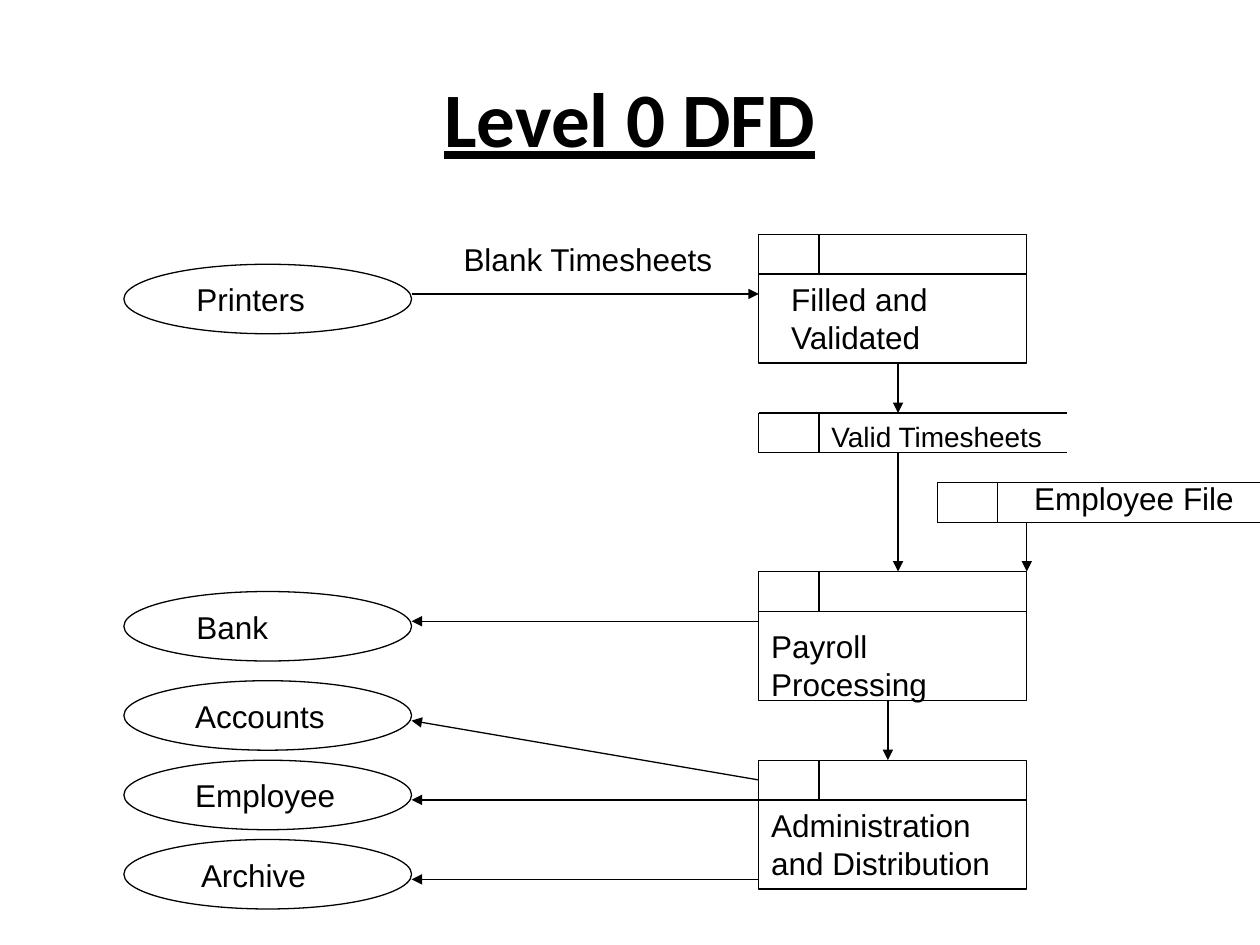
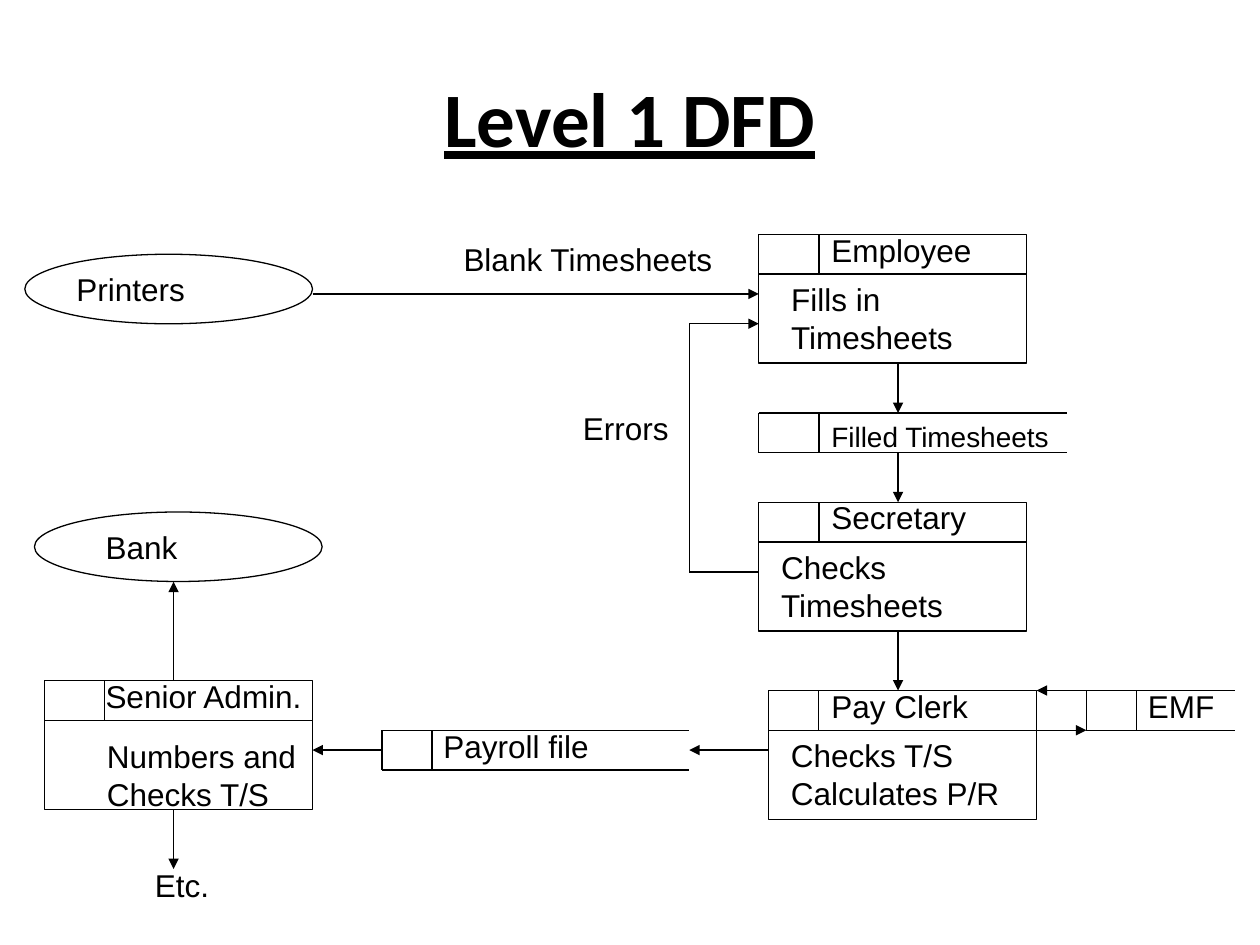
from itertools import pairwise

from lxml import etree
from pptx import Presentation
from pptx.dml.color import RGBColor
from pptx.enum.shapes import MSO_CONNECTOR, MSO_SHAPE
from pptx.enum.text import MSO_ANCHOR, MSO_AUTO_SIZE, PP_ALIGN
from pptx.oxml.ns import qn
from pptx.util import Pt

STRAIGHT = MSO_CONNECTOR.STRAIGHT
OVAL, RECT = MSO_SHAPE.OVAL, MSO_SHAPE.RECTANGLE
INK = "000000"

# Symbol sizes shared by both diagrams
ENTITY_W, ENTITY_H = 164.4, 39.7
PROCESS_W, PROCESS_H = 153.2, 73.6
BAND_H = 22.7
CELL_W = 34.4
LIFT = 5.7
COL = 433.6            # left edge of the main process column
COL_R = COL + PROCESS_W
MID = 513.2            # vertical flow down the column
ENTITY_R = 70.8 + ENTITY_W

# entities: x, y, name, name offset
# processes: x, y, cell width, owner, owner offset, task, task dx, dy, width
# stores: x, y, width, cell width, name, name dx, dy, size
# labels: x, y, width, text
# flows: points, ending in an arrowhead
SLIDES = [
    {
        "title": "Level 0 DFD",
        "entities": [
            (70.8, 151.0, "Printers", 34.4),
            (70.8, 338.0, "Bank", 34.4),
            (70.8, 389.0, "Accounts", 33.6),
            (70.8, 434.4, "Employee", 33.6),
            (70.8, 479.7, "Archive", 37.0),
        ],
        "processes": [
            (COL, 133.9, CELL_W, "", 0, "Filled and Validated", 11.4, BAND_H, 130.3),
            (COL, 326.6, CELL_W, "", 0, "Payroll Processing", 0, 28.4, 158.4),
            (COL, 434.4, CELL_W, "", 0, "Administration and Distribution", 0, BAND_H, 158.4),
        ],
        "stores": [
            (COL, 236.0, 176, CELL_W, "Valid Timesheets", 34.4, 0, 16),
            (535.7, 275.7, 184.3, CELL_W, "Employee File", 48.2, -LIFT, 18),
        ],
        "labels": [(257.8, 133.9, 158.4, "Blank Timesheets")],
        "flows": [
            [(ENTITY_R, 168), (COL, 168)],
            [(MID, 207.5), (MID, 236)],
            [(MID, 258.7), (MID, 326.6)],
            [(507.4, 400.2), (507.4, 434.4)],
            [(COL_R, 298.4), (COL_R, 326.6)],
            [(COL, 355), (ENTITY_R, 355)],
            [(COL, 445.7), (ENTITY_R, 411.8)],
            [(COL, 457.1), (ENTITY_R, 457.1)],
            [(COL, 502.5), (ENTITY_R, 502.5)],
        ],
    },
    {
        "title": "Level 1 DFD",
        "entities": [
            (14.2, 145.3, "Printers", 22.4),
            (19.7, 292.6, "Bank", 33.6),
        ],
        "processes": [
            (COL, 133.9, CELL_W, "Employee", 34.4, "Fills in Timesheets", 11.4, BAND_H, 130.3),
            (COL, 287.0, CELL_W, "Secretary", 34.4, "Checks Timesheets", 5.7, BAND_H, 130.3),
            (439.2, 394.6, 28.6, "Pay Clerk", 28.8, "Checks T/S Calculates P/R", 5.7, BAND_H, 141.8),
            (25.4, 389.0, CELL_W, "Senior Admin.", 27.8, "Numbers and Checks T/S", 28.6, 28.6, 130.3),
        ],
        "stores": [
            (COL, 236.0, 176, CELL_W, "Filled Timesheets", 34.4, 0, 16),
            (218.3, 417.4, 175.6, 28.6, "Payroll file", 28, -LIFT, 18),
            (620.8, 394.6, 85, 28.6, "EMF", 28, -LIFT, 18),
        ],
        "labels": [
            (257.8, 133.9, 158.4, "Blank Timesheets"),
            (326, 230.4, 108, "Errors"),
            (81.4, 491.2, 108, "Etc."),
        ],
        "flows": [
            [(178.6, 168), (COL, 168)],
            [(MID, 207.5), (MID, 236)],
            [(MID, 258.7), (MID, 287)],
            [(MID, 360.6), (MID, 394.6)],
            [(COL, 326.8), (393.9, 326.8), (393.9, 185), (COL, 185)],
            [(439.2, 428.6), (393.9, 428.6)],
            [(218.3, 428.6), (178.6, 428.6)],
            [(99.2, 389), (99.2, 332.4)],
            [(99.2, 462.6), (99.2, 496.6)],
            [(592.4, 417.3), (620.8, 417.3)],
            [(620.8, 394.6), (592.4, 394.6)],
        ],
    },
]


def color(hex_text):
    return RGBColor.from_string(hex_text)


def add_text(s, x, y, w, h, text, size=18, font="Arial", bold=False,
             underline=False, align=PP_ALIGN.LEFT, anchor=MSO_ANCHOR.TOP,
             fit=MSO_AUTO_SIZE.SHAPE_TO_FIT_TEXT):
    tf = s.shapes.add_textbox(Pt(x), Pt(y), Pt(w), Pt(h)).text_frame
    tf.word_wrap = True
    tf.auto_size = fit
    tf.vertical_anchor = anchor
    p = tf.paragraphs[0]
    p.alignment = align
    r = p.add_run()
    r.text = text
    r.font.name, r.font.size = font, Pt(size)
    r.font.bold, r.font.underline = bold, underline
    r.font.color.rgb = color(INK)


def add_outline(s, kind, x, y, w, h):
    sp = s.shapes.add_shape(kind, Pt(x), Pt(y), Pt(w), Pt(h))
    sp.shadow.inherit = False
    sp.fill.background()
    sp.line.color.rgb = color(INK)
    sp.line.width = Pt(0.75)


def add_line(s, start, end, arrow=False):
    c = s.shapes.add_connector(STRAIGHT, *(Pt(v) for v in (*start, *end)))
    c.line.color.rgb = color(INK)
    c.line.width = Pt(0.75)
    if arrow:
        etree.SubElement(c.line._get_or_add_ln(), qn("a:tailEnd"), type="triangle")
    etree.SubElement(c._element.spPr, qn("a:effectLst"))


def add_entity(s, x, y, name, dx):
    add_outline(s, OVAL, x, y, ENTITY_W, ENTITY_H)
    add_text(s, x + dx, y + LIFT, 108, 28, name)


def add_process(s, x, y, cell, owner, owner_dx, task, dx, dy, w):
    add_outline(s, RECT, x, y, PROCESS_W, PROCESS_H)
    add_line(s, (x, y + BAND_H), (x + PROCESS_W, y + BAND_H))
    add_line(s, (x + cell, y), (x + cell, y + BAND_H))
    if owner:
        add_text(s, x + owner_dx, y - LIFT, 148, 28, owner)
    add_text(s, x + dx, y + dy, w, 50, task)


def add_store(s, x, y, w, cell, name, dx, dy, size):
    for edge in (y, y + BAND_H):
        add_line(s, (x, edge), (x + w, edge))
    for side in (x, x + cell):
        add_line(s, (side, y), (side, y + BAND_H))
    add_text(s, x + dx, y + dy, w - dx, 28, name, size=size)


def add_flow(s, points):
    for start, end in pairwise(points):
        add_line(s, start, end, arrow=end == points[-1])


def main():
    prs = Presentation()
    prs.slide_width, prs.slide_height = Pt(720), Pt(540)
    for page in SLIDES:
        s = prs.slides.add_slide(prs.slide_layouts[6])
        add_text(s, 36, 21.6, 648, 90, page["title"], size=44, font="Calibri",
                 bold=True, underline=True, align=PP_ALIGN.CENTER,
                 anchor=MSO_ANCHOR.MIDDLE, fit=MSO_AUTO_SIZE.NONE)
        for entity in page["entities"]:
            add_entity(s, *entity)
        for process in page["processes"]:
            add_process(s, *process)
        for store in page["stores"]:
            add_store(s, *store)
        for x, y, w, text in page["labels"]:
            add_text(s, x, y, w, 28, text)
        for points in page["flows"]:
            add_flow(s, points)
    prs.save("out.pptx")


if __name__ == "__main__":
    main()
